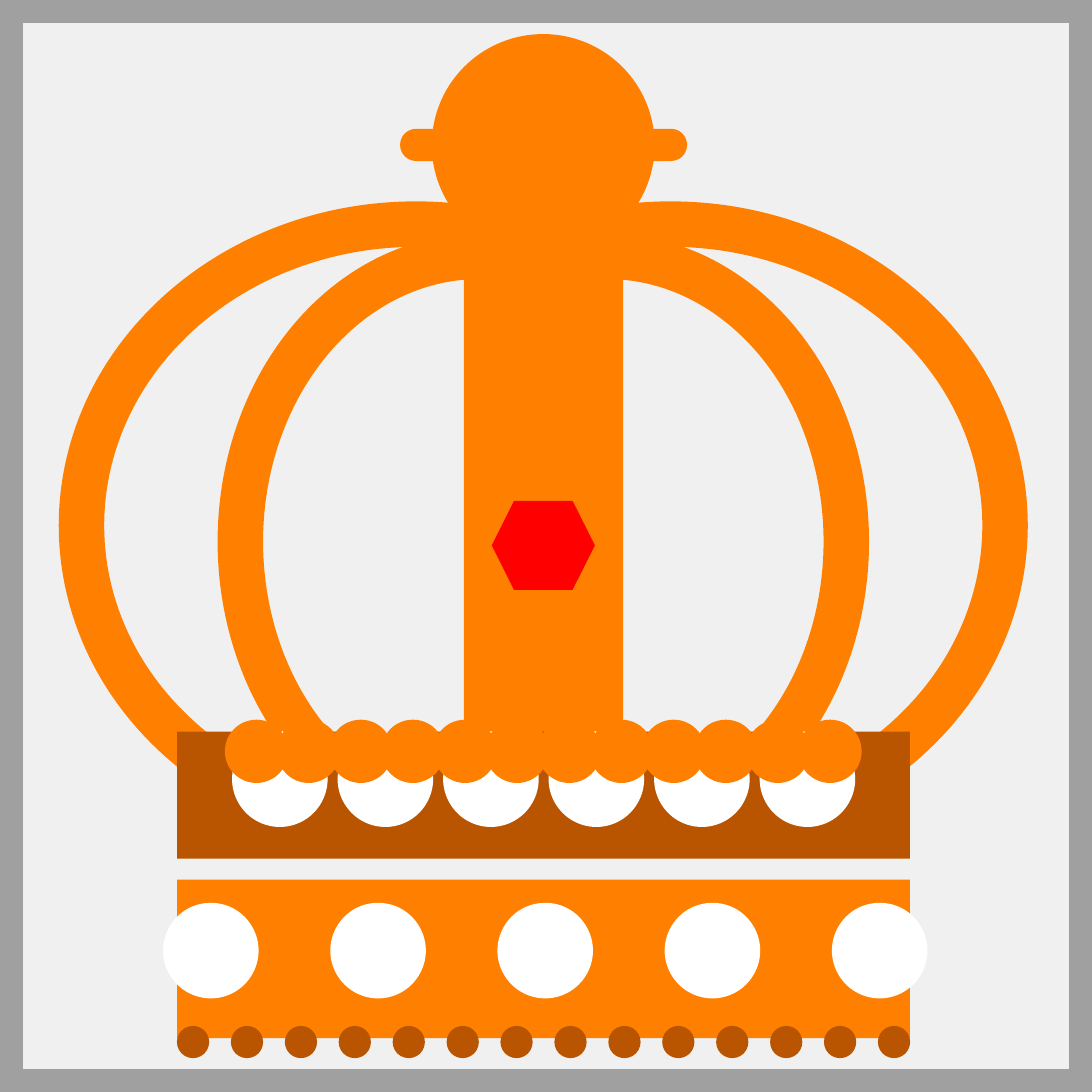
"""Draw a jewelled crown inside a grey frame."""
from dataclasses import dataclass

from pptx import Presentation
from pptx.dml.color import RGBColor
from pptx.enum.shapes import MSO_SHAPE as Preset
from pptx.util import Pt


@dataclass(frozen=True)
class Theme:
    """Colours and line width of the slide."""
    backdrop: str = "F0F0F0"
    gold: str = "FF8000"
    bronze: str = "B95500"
    pearl: str = "FFFFFF"
    ruby: str = "FF0000"
    frame: str = "A0A0A0"
    stroke: float = 12


class Canvas:
    """Holds the theme and the current slide, and draws on it."""

    def __init__(self, slide, theme):
        """Set the background of the slide."""
        self.slide, self.theme = slide, theme
        self.crown = slide.shapes.add_group_shape().shapes
        backdrop = slide.background.fill
        backdrop.solid()
        backdrop.fore_color.rgb = RGBColor.from_string(theme.backdrop)

    def _place(self, target, preset, box):
        """Add a preset shape without a shadow."""
        shape = target.add_shape(preset, *map(Pt, box))
        shape.shadow.inherit = False
        return shape

    def solid(self, preset, box, color):
        """Add a filled shape to the crown."""
        shape = self._place(self.crown, preset, box)
        shape.fill.solid()
        shape.fill.fore_color.rgb = RGBColor.from_string(color)
        shape.line.fill.background()
        return shape

    def outline(self, target, preset, box, color):
        """Add an unfilled shape with a thick line."""
        shape = self._place(target, preset, box)
        shape.fill.background()
        shape.line.color.rgb = RGBColor.from_string(color)
        shape.line.width = Pt(self.theme.stroke)
        return shape

    def arch(self, box, angles, mirrored=False):
        """Add one curved arch of the crown."""
        arch = self.outline(self.crown, Preset.ARC, box, self.theme.gold)
        arch.adjustments[0], arch.adjustments[1] = angles
        if mirrored:
            arch.element.spPr.xfrm.set("flipH", "1")

    def row(self, count, left, top, size, step, color):
        """Add a row of evenly spaced discs."""
        for index in range(count):
            self.solid(Preset.OVAL, (left + index * step, top, size, size), color)

    def frame(self, width, height):
        """Add the frame around the slide."""
        self.outline(self.slide.shapes, Preset.RECTANGLE, (0, 0, width, height),
                     self.theme.frame)


SIDE = 288
AXIS = 143.3
BAND_LEFT, BAND_WIDTH = 46.7, 193.3
PEARL = 25.2

deck = Presentation()
deck.slide_width = deck.slide_height = Pt(SIDE)
theme = Theme()
canvas = Canvas(deck.slides.add_slide(deck.slide_layouts[6]), theme)

canvas.solid(Preset.OVAL, (113.9, 9, 58.8, 58.5), theme.gold)
crossbar = canvas.solid(Preset.ROUNDED_RECTANGLE, (105.5, 34, 75.7, 8.5), theme.gold)
crossbar.adjustments[0] = 0.5
canvas.solid(Preset.RECTANGLE, (122.4, 34, 42, 167), theme.gold)

inner_arch = (97.2, 67.6, 126, 150.5), (162.22, 31.02)
outer_arch = (88.7, 59.1, 176.4, 159), (154.51, 31.02)
for mirrored in (False, True):
    for (left, top, width, height), angles in (inner_arch, outer_arch):
        start = 2 * AXIS - left - width if mirrored else left
        canvas.arch((start, top, width, height), angles, mirrored)

canvas.solid(Preset.RECTANGLE, (BAND_LEFT, 193, BAND_WIDTH, 33.5), theme.bronze)
canvas.row(6, 61.2, 192.9, PEARL, 27.83, theme.pearl)
canvas.solid(Preset.RECTANGLE, (BAND_LEFT, 232, BAND_WIDTH, 41.8), theme.gold)
canvas.row(5, 43, 238.1, PEARL, 44.1, theme.pearl)
canvas.row(14, BAND_LEFT, 270.6, 8.5, 14.22, theme.bronze)
canvas.row(12, 59.3, 189.8, 16.7, 13.75, theme.gold)
canvas.solid(Preset.HEXAGON, (129.7, 132.1, 27.2, 23.5), theme.ruby)
canvas.frame(SIDE, SIDE)

deck.save("out.pptx")
